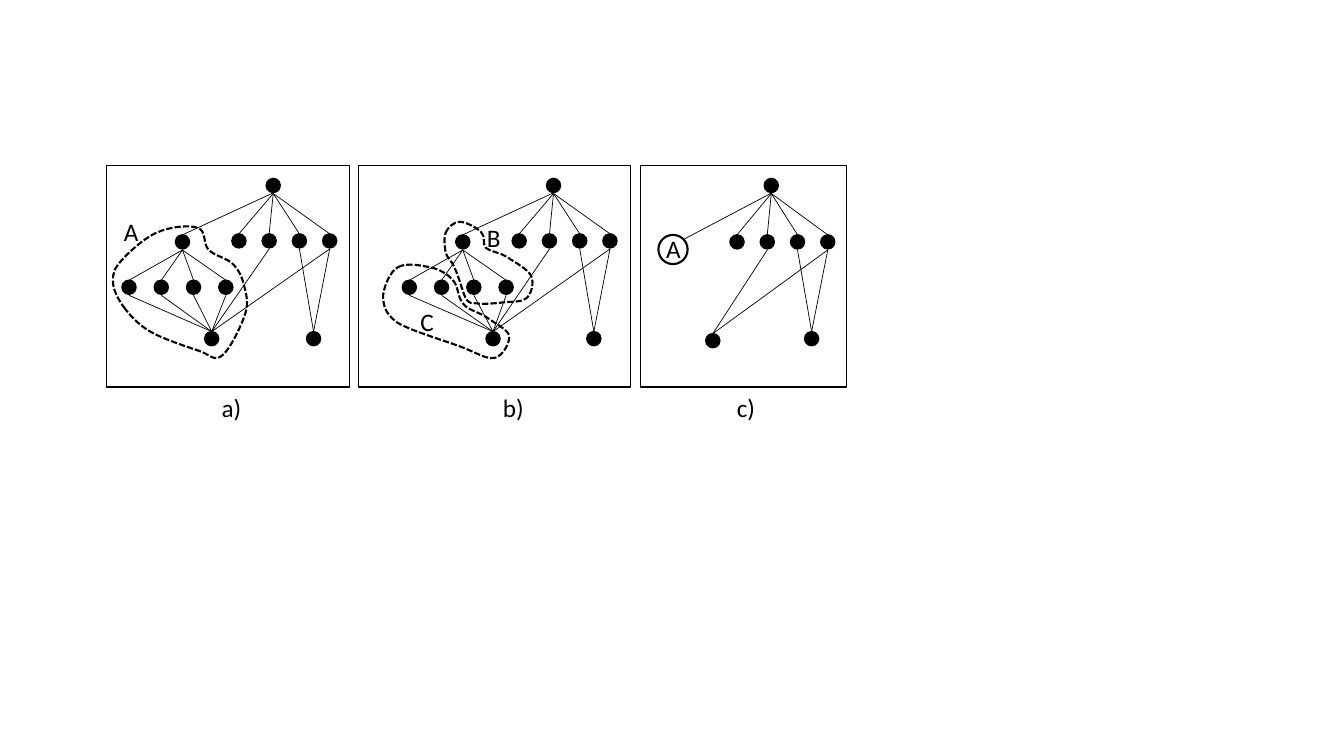
from dataclasses import dataclass
from typing import Any

import pptx
import pptx.dml.color
import pptx.enum.dml
import pptx.enum.shapes
import pptx.enum.text
import pptx.oxml
import pptx.oxml.ns
import pptx.shapes.autoshape
import pptx.slide
import pptx.util

BLACK = pptx.dml.color.RGBColor(0, 0, 0)
PX = 9144  # EMU, a hundredth of an inch
DOT = 14
LINK_DROP = 15  # from the top of a dot to the links below it
Point = tuple[int, int]
Shape = pptx.shapes.autoshape.Shape
Slide = pptx.slide.Slide
OVAL = pptx.enum.shapes.MSO_SHAPE.OVAL
RECTANGLE = pptx.enum.shapes.MSO_SHAPE.RECTANGLE

LETTER_FORMAT = {"name": "Calibri", "size": pptx.util.Pt(18)}
LINK_FORMAT = {"width": pptx.util.Pt(0.5)}
FRAME_FORMAT = {"width": pptx.util.Pt(0.75)}
DOT_FORMAT = {"width": pptx.util.Pt(1)}
RING_FORMAT = {"width": pptx.util.Pt(1.5)}
GROUP_FORMAT = {
    "width": pptx.util.Pt(1.5),
    "dash_style": pptx.enum.dml.MSO_LINE.SQUARE_DOT,
}


@dataclass
class Panel:
    caption: str
    caption_left: int
    frame_left: int
    frame_width: int
    shift: int
    row_top: int
    shared_leaf: Point
    merged: bool = False


@dataclass
class Label:
    text: str
    left: int
    top: int


PANELS = [
    Panel("a)", 210, 106, 241, 0, 232, (203, 329)),
    Panel("b)", 489, 356, 269, 278, 232, (482, 329)),
    Panel("c)", 721, 635, 205, 494, 233, (700, 331), merged=True),
]
LABELS = [Label("A", 113, 210), Label("B", 473, 216),
          Label("C", 407, 299), Label("A", 651, 227)]

# Closed curves: a start point, then two handles and an end for each stretch
GROUP_A = [
    (123, 305), (129, 313), (137, 322), (149, 329), (161, 336), (185, 344), (197, 348),
    (209, 352), (212, 359), (220, 353), (228, 347), (239, 324), (243, 312),
    (247, 300), (244, 291), (242, 283), (240, 275), (237, 268), (231, 262),
    (225, 256), (213, 254), (207, 248), (201, 242), (205, 229), (196, 226),
    (187, 223), (168, 225), (155, 231), (142, 237), (127, 251), (120, 259),
    (113, 267), (112, 271), (112, 279), (112, 287), (117, 297), (123, 305),
]
GROUP_B = [
    (442, 231), (444, 226), (450, 220), (456, 220), (462, 220), (473, 226), (477, 230),
    (482, 234), (478, 242), (482, 246), (487, 250), (495, 250), (503, 255),
    (510, 260), (524, 267), (527, 274), (530, 281), (527, 292), (522, 296),
    (517, 300), (508, 299), (499, 300), (491, 301), (479, 302), (473, 301),
    (467, 300), (466, 302), (462, 296), (459, 290), (455, 274), (451, 266),
    (448, 258), (443, 256), (442, 250), (441, 244), (440, 236), (442, 231),
]
GROUP_C = [
    (395, 265), (404, 260), (421, 264), (430, 266), (440, 269), (446, 274), (450, 279),
    (455, 285), (454, 296), (460, 302), (465, 308), (476, 310), (483, 315),
    (491, 321), (504, 327), (505, 333), (506, 340), (499, 353), (491, 355),
    (483, 357), (473, 350), (457, 344), (441, 338), (407, 328), (394, 320),
    (382, 311), (380, 303), (380, 293), (381, 284), (387, 269), (395, 265),
]


def apply_format(target: Any, values: dict[str, Any]) -> None:
    for name, value in values.items():
        setattr(target, name, value)
    target.color.rgb = BLACK


def style_outline(shape: Shape, line_format: dict[str, Any], filled: bool = False) -> None:
    shape.shadow.inherit = False
    if filled:
        shape.fill.solid()
        shape.fill.fore_color.rgb = BLACK
    else:
        shape.fill.background()
    apply_format(shape.line, line_format)


def draw_shape(page: Slide, kind: Any, left: int, top: int, width: int, height: int,
               line_format: dict[str, Any], filled: bool = False) -> None:
    shape = page.shapes.add_shape(kind, left * PX, top * PX, width * PX, height * PX)
    style_outline(shape, line_format, filled)


def draw_dot(page: Slide, dot: Point) -> None:
    draw_shape(page, OVAL, *dot, DOT, DOT, DOT_FORMAT, filled=True)


def draw_line(page: Slide, start: Point, end: Point) -> None:
    link = page.shapes.add_connector(
        pptx.enum.shapes.MSO_CONNECTOR.STRAIGHT, *(value * PX for value in start + end))
    apply_format(link.line, LINK_FORMAT)
    link._element.spPr.append(pptx.oxml.parse_xml(
        f'<a:effectLst {pptx.oxml.ns.nsdecls("a")}/>'))


def draw_link(page: Slide, upper: Point, lower: Point) -> None:
    half = DOT // 2
    draw_line(page, (upper[0] + half, upper[1] + LINK_DROP), (lower[0] + half, lower[1]))


def draw_group(page: Slide, points: list[Point]) -> None:
    builder = page.shapes.build_freeform(*points[0], scale=PX)
    builder.add_line_segments(points[1:], close=True)
    shape = builder.convert_to_shape()
    style_outline(shape, GROUP_FORMAT)
    # Turn every three straight segments into one curve
    segments = list(shape._element.iter(pptx.oxml.ns.qn("a:lnTo")))
    for first in range(0, len(segments), 3):
        curve = pptx.oxml.parse_xml(f'<a:cubicBezTo {pptx.oxml.ns.nsdecls("a")}/>')
        segments[first].addprevious(curve)
        for segment in segments[first:first + 3]:
            curve.append(segment[0])
            segment.getparent().remove(segment)


def draw_text(page: Slide, text: str, left: int, top: int, width: int, wrap: bool) -> None:
    box = page.shapes.add_textbox(left * PX, top * PX, width * PX, 40 * PX)
    box.text_frame.word_wrap = wrap
    box.text_frame.auto_size = pptx.enum.text.MSO_AUTO_SIZE.SHAPE_TO_FIT_TEXT
    span = box.text_frame.paragraphs[0].add_run()
    span.text = text
    apply_format(span.font, LETTER_FORMAT)


def draw_panel(page: Slide, panel: Panel) -> None:
    root = (panel.shift + 264, 177)
    hub = (panel.shift + 174, 233)
    right_leaf = (panel.shift + 304, 329)
    children = [(panel.shift + 230 + 30 * i, panel.row_top) for i in range(4)]
    links = [(root, child) for child in children]
    links += [(children[1], panel.shared_leaf), (children[3], panel.shared_leaf),
              (children[2], right_leaf), (children[3], right_leaf)]
    dots = [root, *children, panel.shared_leaf, right_leaf]
    hub_end = (hub[0] + DOT // 2, hub[1])

    # The left branch is either one ring or a hub with four dots below it
    if panel.merged:
        hub_end = (679, 237)
        draw_shape(page, OVAL, 653, 233, 29, 29, RING_FORMAT)
    else:
        grandchildren = [(panel.shift + 121 + 32 * i, 278) for i in range(4)]
        dots += [hub, *grandchildren]
        for grandchild in grandchildren:
            links += [(hub, grandchild), (grandchild, panel.shared_leaf)]

    for dot in dots:
        draw_dot(page, dot)
    for upper, lower in links:
        draw_link(page, upper, lower)
    draw_line(page, (root[0] + 12, root[1] + 12), hub_end)
    draw_shape(page, RECTANGLE, panel.frame_left, 164, panel.frame_width, 220, FRAME_FORMAT)
    draw_text(page, panel.caption, panel.caption_left, 384, 42, wrap=False)


def main() -> None:
    deck = pptx.Presentation()
    deck.slide_width, deck.slide_height = 1333 * PX, 750 * PX
    page = deck.slides.add_slide(deck.slide_layouts[6])

    # Trees in their frames
    for panel in PANELS:
        draw_panel(page, panel)

    # Dashed groups and their letters
    for points in (GROUP_A, GROUP_B, GROUP_C):
        draw_group(page, points)
    for label in LABELS:
        draw_text(page, label.text, label.left, label.top, 26, wrap=True)

    deck.save("out.pptx")


if __name__ == "__main__":
    main()
